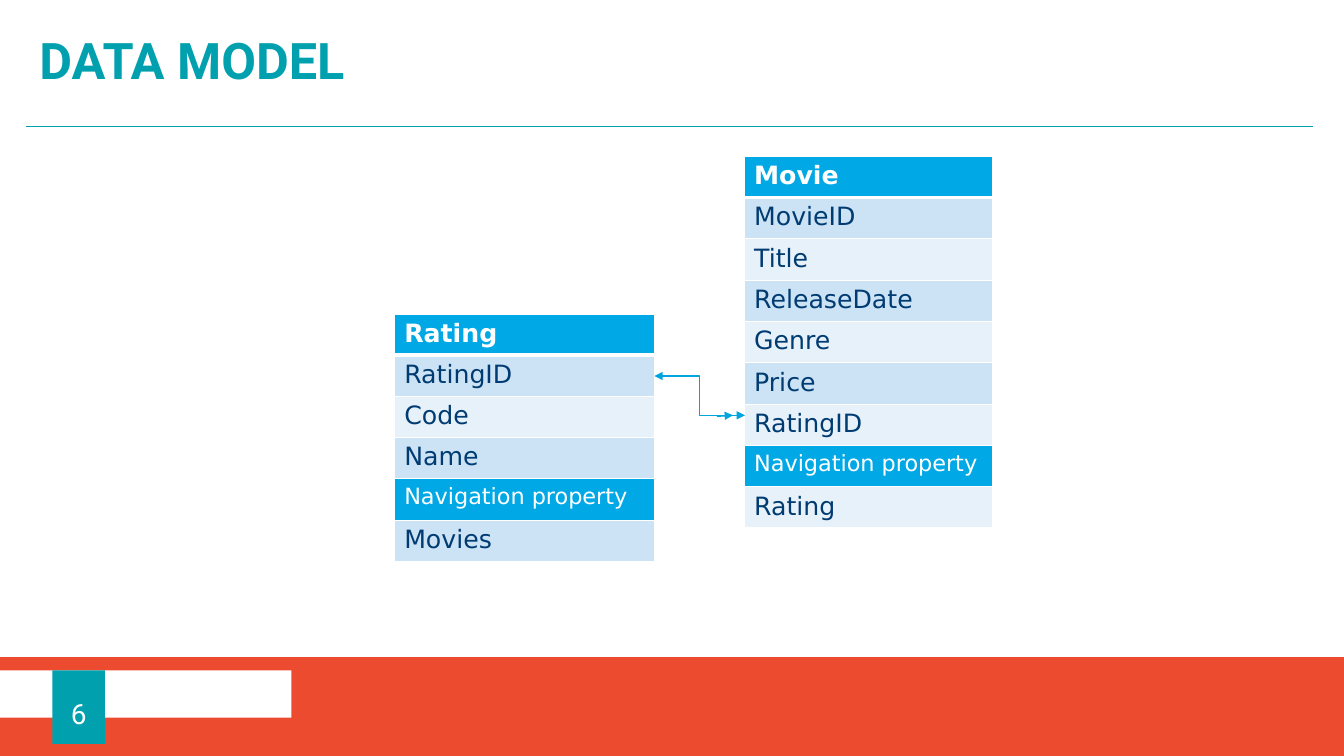
from lxml import etree
from pptx import Presentation
from pptx.dml.color import RGBColor
from pptx.enum.shapes import MSO_CONNECTOR, MSO_SHAPE
from pptx.enum.text import MSO_ANCHOR, PP_ALIGN
from pptx.oxml.ns import qn
from pptx.util import Inches, Pt

RECTANGLE = MSO_SHAPE.RECTANGLE
STRAIGHT, ELBOW = MSO_CONNECTOR.STRAIGHT, MSO_CONNECTOR.ELBOW
MIDDLE = MSO_ANCHOR.MIDDLE
CENTER = PP_ALIGN.CENTER

COLORS = {
    "teal": "00A0AE",
    "red": "EC4B2F",
    "white": "FFFFFF",
    "header": "00A9E5",
    "navy": "003C72",
    "odd_row": "CCE2F5",
    "even_row": "E7F1FA",
    "arrow": "00A5E0",
}
HEADING_FONT, TABLE_FONT = "Roboto", "DejaVu Sans"
ROW_HEIGHT = 0.41
NAVIGATION = "Navigation property"
MOVIE_ROWS = ["Movie", "MovieID", "Title", "ReleaseDate", "Genre", "Price",
              "RatingID", NAVIGATION, "Rating"]
RATING_ROWS = ["Rating", "RatingID", "Code", "Name", NAVIGATION, "Movies"]


def color(name):
    return RGBColor.from_string(COLORS[name])


def style_font(para, font_name, size, color_name, bold=False):
    para.font.name = font_name
    para.font.size = Pt(size)
    para.font.bold = bold
    para.font.color.rgb = color(color_name)


def set_margins(frame, left, top, right, bottom):
    frame.margin_left, frame.margin_top = Inches(left), Inches(top)
    frame.margin_right, frame.margin_bottom = Inches(right), Inches(bottom)


def add_block(page, left, top, width, height, fill):
    block = page.shapes.add_shape(RECTANGLE, Inches(left), Inches(top),
                                  Inches(width), Inches(height))
    block.shadow.inherit = False
    block.fill.solid()
    block.fill.fore_color.rgb = color(fill)
    block.line.fill.background()
    return block


def add_title(page, text):
    box = page.shapes.add_textbox(0, 0, Inches(13.33), Inches(1.25))
    frame = box.text_frame
    frame.word_wrap = True
    frame.vertical_anchor = MIDDLE
    set_margins(frame, 0.39, 0.2, 0.39, 0.16)
    para = frame.paragraphs[0]
    para.text = text
    para.line_spacing = 0.8
    style_font(para, HEADING_FONT, 36, "teal", bold=True)


def add_page_number(page, number):
    frame = add_block(page, 0.52, 6.65, 0.52, 0.73, "teal").text_frame
    frame.word_wrap = False
    frame.vertical_anchor = MIDDLE
    set_margins(frame, 0, 0.12, 0, 0)
    para = frame.paragraphs[0]
    para.text = number
    para.alignment = CENTER
    style_font(para, HEADING_FONT, 20, "white")


def add_line(page, kind, start, end, color_name, width, ends=()):
    """Draw a connector; ends lists the tags of its triangle arrowheads."""
    line = page.shapes.add_connector(kind, *map(Inches, start + end))
    line.line.color.rgb = color(color_name)
    line.line.width = Pt(width)
    outline = line.line._get_or_add_ln()
    for tag in ends:
        etree.SubElement(outline, qn(tag), type="triangle")
    etree.SubElement(line._element.spPr, qn("a:effectLst"))


def set_borders(cell, bottom_width):
    properties = cell._tc.get_or_add_tcPr()
    for side, width in (("L", 1), ("R", 1), ("T", 1), ("B", bottom_width)):
        border = etree.SubElement(properties, qn(f"a:ln{side}"),
                                  w=str(Pt(width)))
        fill = etree.SubElement(border, qn("a:solidFill"))
        etree.SubElement(fill, qn("a:srgbClr"), val=COLORS["white"])


def add_entity(page, left, top, width, names, header_height=ROW_HEIGHT):
    """Add a one-column table with a header and banded field rows."""
    height = header_height + ROW_HEIGHT * (len(names) - 1)
    table = page.shapes.add_table(len(names), 1, Inches(left), Inches(top),
                                  Inches(width), Inches(height)).table
    for index, name in enumerate(names):
        is_header = index == 0
        is_section = name == NAVIGATION
        highlighted = is_header or is_section
        table.rows[index].height = Inches(
            header_height if is_header else ROW_HEIGHT)
        cell = table.cell(index, 0)
        set_borders(cell, 3 if is_header else 1)
        band = "odd_row" if index % 2 else "even_row"
        cell.fill.solid()
        cell.fill.fore_color.rgb = color("header" if highlighted else band)
        para = cell.text_frame.paragraphs[0]
        para.text = name
        style_font(para, TABLE_FONT, 16 if is_section else 18,
                   "white" if highlighted else "navy", bold=is_header)


def main():
    deck = Presentation()
    deck.slide_width, deck.slide_height = Inches(13.33), Inches(7.5)
    page = deck.slides.add_slide(deck.slide_layouts[6])

    add_block(page, 0, 6.52, 13.33, 0.98, "red")
    add_block(page, 0, 6.65, 2.89, 0.47, "white")
    add_line(page, STRAIGHT, (0.26, 1.25), (13.02, 1.25), "teal", 0.5)
    add_title(page, "DATA MODEL")
    add_page_number(page, "6")

    add_entity(page, 7.38, 1.55, 2.46, MOVIE_ROWS)
    add_entity(page, 3.91, 3.12, 2.58, RATING_ROWS, header_height=0.39)

    add_line(page, ELBOW, (6.49, 3.73), (7.39, 4.12), "arrow", 1,
             ends=("a:headEnd", "a:tailEnd"))
    add_line(page, STRAIGHT, (7.11, 4.13), (7.27, 4.12), "arrow", 1,
             ends=("a:tailEnd",))

    deck.save("out.pptx")


if __name__ == "__main__":
    main()
